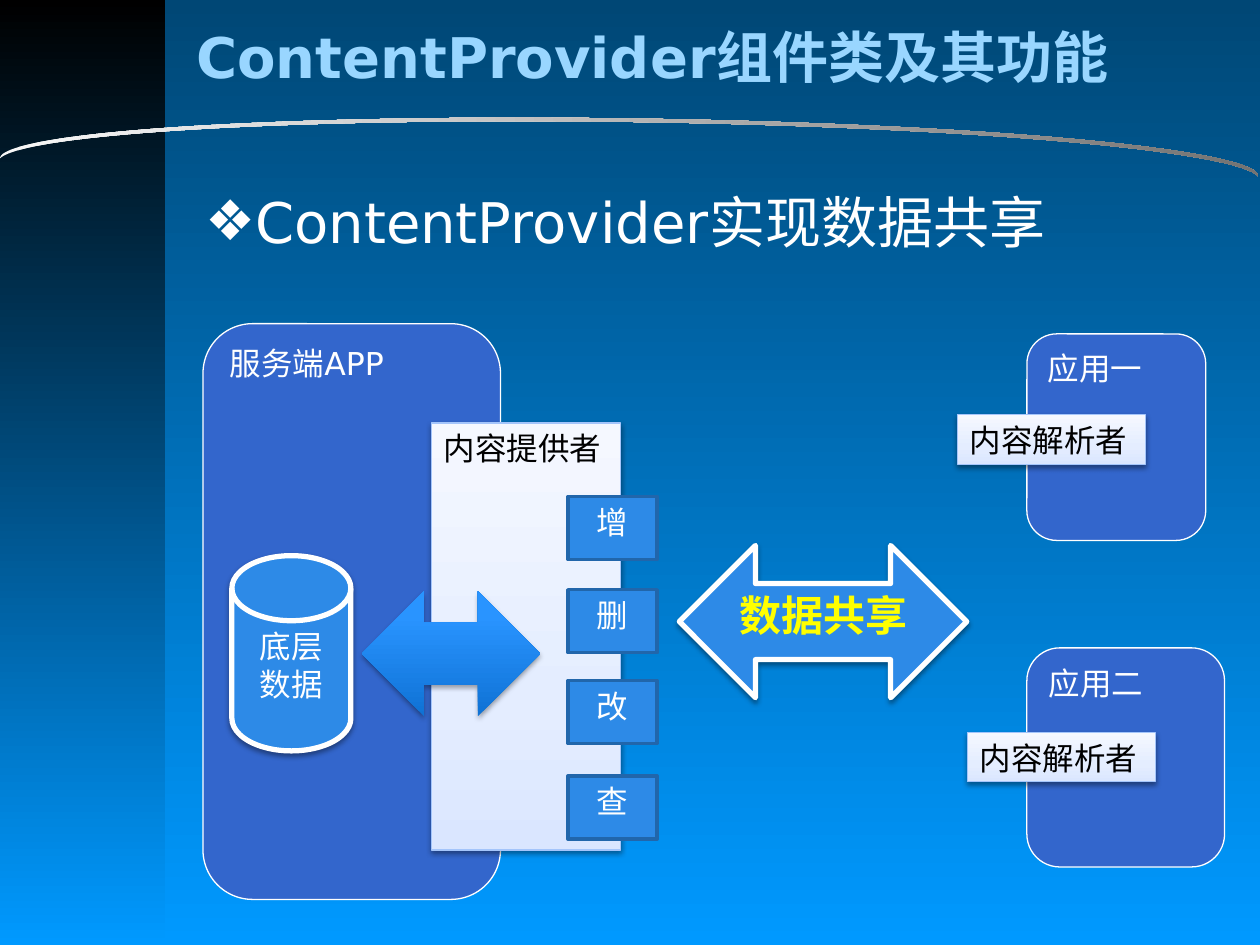
from lxml import etree
from pptx import Presentation
from pptx.dml.color import RGBColor
from pptx.enum import shapes, text
from pptx.oxml import ns
from pptx.util import Pt

FONT = "DejaVu Sans"
KIND = shapes.MSO_SHAPE
COLORS = {
    "sky_top": "004775", "sky": "0099FF", "black": "000000", "white": "FFFFFF",
    "arc_light": "F8F8F8", "arc_dark": "737373", "title": "99D6FF",
    "app": "3366CC", "block": "2D8AE7", "block_edge": "2166AB",
    "pale_edge": "A4C5FB", "pale_low": "DAE6FF", "pale_mid": "E4EDFF",
    "pale_high": "F5F8FF", "flow_low": "0F72D5", "flow_mid": "2994FF",
    "flow_high": "2B95FF", "yellow": "FFFF00",
}
PALE = [(0, "pale_low"), (35, "pale_mid"), (100, "pale_high")]
FLOW = [(0, "flow_low"), (80, "flow_mid"), (100, "flow_high")]


def rgb(name):
    return RGBColor.from_string(COLORS[name])


def sub(parent, tag, **attributes):
    return etree.SubElement(parent, ns.qn(tag), attributes)


def apply_gradient(owner, fill, stops, upward=False):
    """Vertical gradient with any number of (percent, colour) stops."""
    fill.gradient()
    fill.gradient_angle = 90 if upward else 270
    stop_list = next(owner.iter(ns.qn("a:gsLst")))
    stop_list.clear()
    for percent, color in stops:
        stop = sub(stop_list, "a:gs", pos=str(percent * 1000))
        sub(stop, "a:srgbClr", val=COLORS[color])


def add_shadow(shape, opacity):
    effects = shape._element.spPr.find(ns.qn("a:effectLst"))
    shadow = sub(effects, "a:outerShdw", blurRad=str(Pt(3.1)), dist=str(Pt(1.7)),
                 dir="5400000", rotWithShape="0")
    color = sub(shadow, "a:srgbClr", val=COLORS["black"])
    sub(color, "a:alpha", val=str(opacity * 1000))


def write(frame, words, size, color, bold=False, align=text.PP_ALIGN.LEFT,
          anchor=text.MSO_ANCHOR.TOP):
    frame.text = words
    frame.word_wrap = True
    frame.auto_size = text.MSO_AUTO_SIZE.NONE
    frame.vertical_anchor = anchor
    paragraph = frame.paragraphs[0]
    paragraph.alignment = align
    font = paragraph.runs[0].font
    font.name, font.size, font.bold = FONT, Pt(size), bold
    font.color.rgb = rgb(color)
    return paragraph


def add_block(slide, kind, box, fill, line=None, width=0.75, upward=True, shadow=0):
    """Preset shape; fill is a colour name or a list of gradient stops."""
    shape = slide.shapes.add_shape(kind, *map(Pt, box))
    shape.shadow.inherit = False
    if isinstance(fill, list):
        apply_gradient(shape._element, shape.fill, fill, upward)
    else:
        shape.fill.solid()
        shape.fill.fore_color.rgb = rgb(fill)
    if line:
        shape.line.color.rgb = rgb(line)
        shape.line.width = Pt(width)
    else:
        shape.line.fill.background()
    if shadow:
        add_shadow(shape, shadow)
    return shape


def place(placeholder, box):
    placeholder.left, placeholder.top, placeholder.width, placeholder.height = map(Pt, box)


def add_backdrop(slide):
    apply_gradient(slide._element, slide.background.fill, [(0, "sky_top"), (100, "sky")])
    add_block(slide, KIND.RECTANGLE, (0, 0, 94.5, 540),
              [(0, "black"), (100, "sky")], upward=False)
    arc = add_block(slide, KIND.MOON, (345.6, -278, 28, 719.3),
                    [(0, "arc_light"), (100, "arc_dark")], upward=False)
    arc.adjustments[0] = 0.071
    arc.rotation = 270.8
    arc._element.spPr.xfrm.set("flipH", "1")


def add_headings(slide):
    title, body = slide.shapes.title, slide.placeholders[1]
    place(title, (105, 8, 546, 48))
    write(title.text_frame, "ContentProvider组件类及其功能", 32, "title", bold=True,
          anchor=text.MSO_ANCHOR.MIDDLE)
    place(body, (110, 103.7, 595.5, 41.8))
    topic = write(body.text_frame, "ContentProvider实现数据共享", 32, "white")
    topic.space_before = Pt(6.4)
    props = topic._p.get_or_add_pPr()
    props.set("marL", str(Pt(27)))
    props.set("indent", str(Pt(-27)))
    sub(sub(props, "a:buClr"), "a:srgbClr", val=COLORS["white"])
    sub(props, "a:buChar", char="❖")


def add_app(slide, name, box):
    app = add_block(slide, KIND.ROUNDED_RECTANGLE, box, "app", "white")
    write(app.text_frame, name, 18, "white")


def add_pale_card(slide, name, box):
    card = add_block(slide, KIND.RECTANGLE, box, PALE, "pale_edge", shadow=38)
    write(card.text_frame, name, 18, "black")


def add_centred(slide, kind, words, box, line, width, size=18, color="white",
                bold=False, shadow=0):
    block = add_block(slide, kind, box, "block", line, width, shadow=shadow)
    write(block.text_frame, words, size, color, bold, text.PP_ALIGN.CENTER)


def main():
    deck = Presentation()
    deck.slide_width, deck.slide_height = Pt(720), Pt(540)
    slide = deck.slides.add_slide(deck.slide_layouts[1])
    add_backdrop(slide)
    add_headings(slide)

    # Server app with its provider and stored data
    add_app(slide, "服务端APP", (116, 185, 170, 329))
    add_pale_card(slide, "内容提供者", (246.5, 241.7, 108, 244))
    add_centred(slide, KIND.FLOWCHART_MAGNETIC_DISK, "底层数据",
                (132.5, 317.5, 68, 111.6), "white", 3, shadow=38)
    add_block(slide, KIND.LEFT_RIGHT_ARROW, (206.6, 337.9, 102.2, 71.3), FLOW, shadow=35)

    # Operations on the provider's edge
    for operation, top in zip("增删改查", (283.7, 337, 388.9, 443.5)):
        add_centred(slide, KIND.RECTANGLE, operation, (324.6, top, 51, 36), "block_edge", 2)

    # Client apps with their resolvers
    add_app(slide, "应用一", (586.8, 190.8, 102.2, 118))
    add_app(slide, "应用二", (586.8, 370.2, 113, 125.2))
    for left, top in ((547.1, 237), (552.8, 418.5)):
        add_pale_card(slide, "内容解析者", (left, top, 107.5, 28.3))

    # Exchange between server and clients
    add_centred(slide, KIND.LEFT_RIGHT_ARROW, "数据共享", (388.2, 311.7, 164.2, 87),
                "white", 3, 24, "yellow", True, shadow=38)
    deck.save("out.pptx")


if __name__ == "__main__":
    main()
